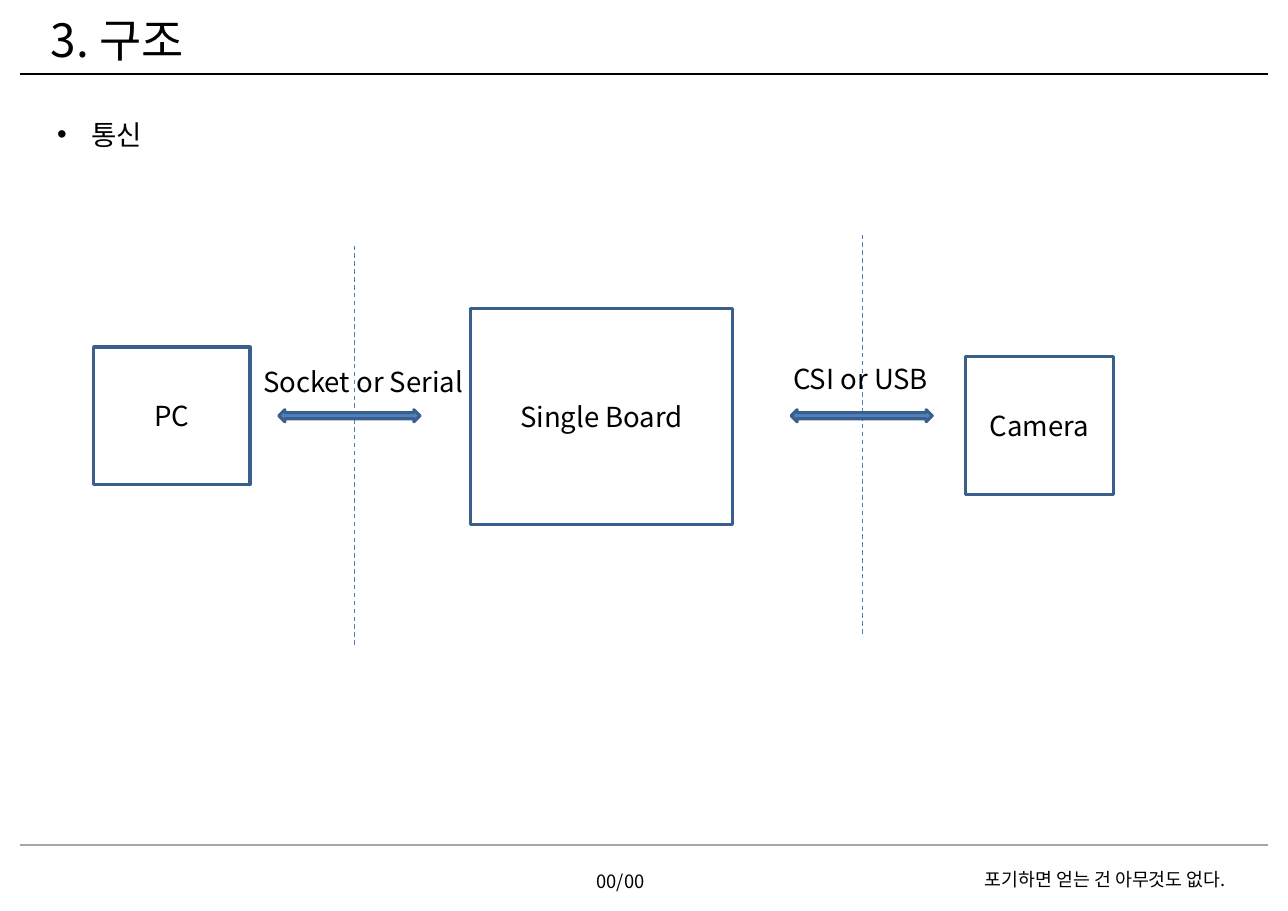
from lxml import etree
from pptx import Presentation
from pptx.dml.color import RGBColor
from pptx.enum.dml import MSO_LINE
from pptx.enum.shapes import MSO_CONNECTOR, MSO_SHAPE
from pptx.enum.text import MSO_ANCHOR, MSO_AUTO_SIZE, PP_ALIGN
from pptx.oxml.ns import qn
from pptx.util import Pt

DASH = MSO_LINE.DASH
STRAIGHT = MSO_CONNECTOR.STRAIGHT
RECTANGLE, DOUBLE_ARROW = MSO_SHAPE.RECTANGLE, MSO_SHAPE.LEFT_RIGHT_ARROW
MIDDLE = MSO_ANCHOR.MIDDLE
NO_AUTOFIT = MSO_AUTO_SIZE.NONE
LEFT, CENTER = PP_ALIGN.LEFT, PP_ALIGN.CENTER

FONT = "Noto Sans CJK KR"
SLIDE_WIDTH, SLIDE_HEIGHT = 841.68, 595.44
RULE_LEFT, RULE_RIGHT = 13, 828.7
BLACK, GREY, BORDER, ARROW, DIVIDER = "000000", "A6A6A6", "3A5F8C", "4F81BD", "4B7EBC"


def color(hex_code):
    """Return the colour for a hex string."""
    return RGBColor.from_string(hex_code)


def place(part, box):
    """Move a part to a box of left, top, width and height in points."""
    part.left, part.top, part.width, part.height = map(Pt, box)


def write(part, text, size=18, align=LEFT, ink=BLACK):
    """Write one vertically centred paragraph and return it."""
    frame = part.text_frame
    frame.word_wrap = True
    frame.auto_size = NO_AUTOFIT
    frame.vertical_anchor = MIDDLE
    paragraph = frame.paragraphs[0]
    paragraph.alignment = align
    paragraph.space_before = Pt(0)
    run = paragraph.add_run()
    run.text = text
    run.font.size = Pt(size)
    run.font.name = FONT
    run.font.color.rgb = color(ink)
    east_asian = etree.SubElement(run.font._element, qn("a:ea"))
    east_asian.set("typeface", FONT)
    return paragraph


def add_label(slide, box, text, **style):
    """Add a text box."""
    label = slide.shapes.add_textbox(*map(Pt, box))
    write(label, text, **style)


def add_line(slide, start, end, ink, width, dash=None):
    """Add a straight line without shadow."""
    line = slide.shapes.add_connector(STRAIGHT, *map(Pt, start + end))
    line.line.color.rgb = color(ink)
    line.line.width = Pt(width)
    if dash:
        line.line.dash_style = dash
    etree.SubElement(line._element.spPr, qn("a:effectLst"))


def add_outlined(slide, kind, box, fill=None):
    """Add a preset shape with the diagram's border."""
    shape = slide.shapes.add_shape(kind, *map(Pt, box))
    shape.shadow.inherit = False
    if fill:
        shape.fill.solid()
        shape.fill.fore_color.rgb = color(fill)
    else:
        shape.fill.background()
    shape.line.color.rgb = color(BORDER)
    shape.line.width = Pt(2)
    return shape


def add_header(slide, box, title):
    """Place the title and the rule beneath it."""
    left, top, width, height = box
    heading = slide.shapes.title
    place(heading, box)
    write(heading, title, size=30)
    rule_y = top + height + 0.7
    add_line(slide, (RULE_LEFT, rule_y), (RULE_RIGHT, rule_y), BLACK, 1.5)


def add_topic(slide, box, topic):
    """Place the bulleted topic in the body placeholder."""
    body = slide.placeholders[1]
    place(body, box)
    properties = write(body, topic)._p.get_or_add_pPr()
    properties.set("marL", str(Pt(22.5)))
    properties.set("indent", str(Pt(-22.5)))


def add_device(slide, box, name):
    """Add a device box with its name inside."""
    device = add_outlined(slide, RECTANGLE, box)
    write(device, name, align=CENTER)


def add_link(slide, box, protocols, divider_dx, divider_rise, label_shift):
    """Add a divider, a double arrow filling the box and the protocols above it."""
    left, top, width, height = box
    x, y = left + divider_dx, top - divider_rise
    add_line(slide, (x, y), (x, y + 262), DIVIDER, 0.75, DASH)
    add_outlined(slide, DOUBLE_ARROW, box, ARROW)
    dx, dy = label_shift
    add_label(slide, (left + dx, top + dy, width + 65, 28.8), protocols)


def add_footer(slide, box, page, motto):
    """Add the footer rule, the page number and the motto."""
    left, top, width, height = box
    add_line(slide, (left, top), (left + width, top), GREY, 1.5)
    add_label(slide, (left + 355, top + 13, 75, 21.6), page, size=12, align=CENTER)
    add_label(slide, (left + width - 192.2, top + 11.5, 192.2, 21.6), motto, size=12)


def main():
    """Build the structure slide."""
    deck = Presentation()
    deck.slide_width, deck.slide_height = Pt(SLIDE_WIDTH), Pt(SLIDE_HEIGHT)
    slide = deck.slides.add_slide(deck.slide_layouts[1])

    add_header(slide, (26, 3.6, 366.5, 44), "3. 구조")
    add_topic(slide, (30.2, 73.4, 780.5, 28.8), "통신")
    add_device(slide, (61.2, 226.8, 102.2, 90), "PC")
    add_device(slide, (307.4, 201.6, 171.4, 141.1), "Single Board")
    add_device(slide, (630.7, 233.3, 97.2, 90), "Camera")
    add_link(slide, (182.2, 267.8, 92.2, 7.9), "Socket or Serial", 49.7, 107.3, (-17.3, -33.1))
    add_link(slide, (517, 267.8, 92.2, 7.9), "CSI or USB", 46.8, 114.5, (-5.8, -34.5))
    add_footer(slide, (RULE_LEFT, 552.2, RULE_RIGHT - RULE_LEFT, 43.2),
               "00/00", "포기하면 얻는 건 아무것도 없다.")
    deck.save("out.pptx")


if __name__ == "__main__":
    main()
